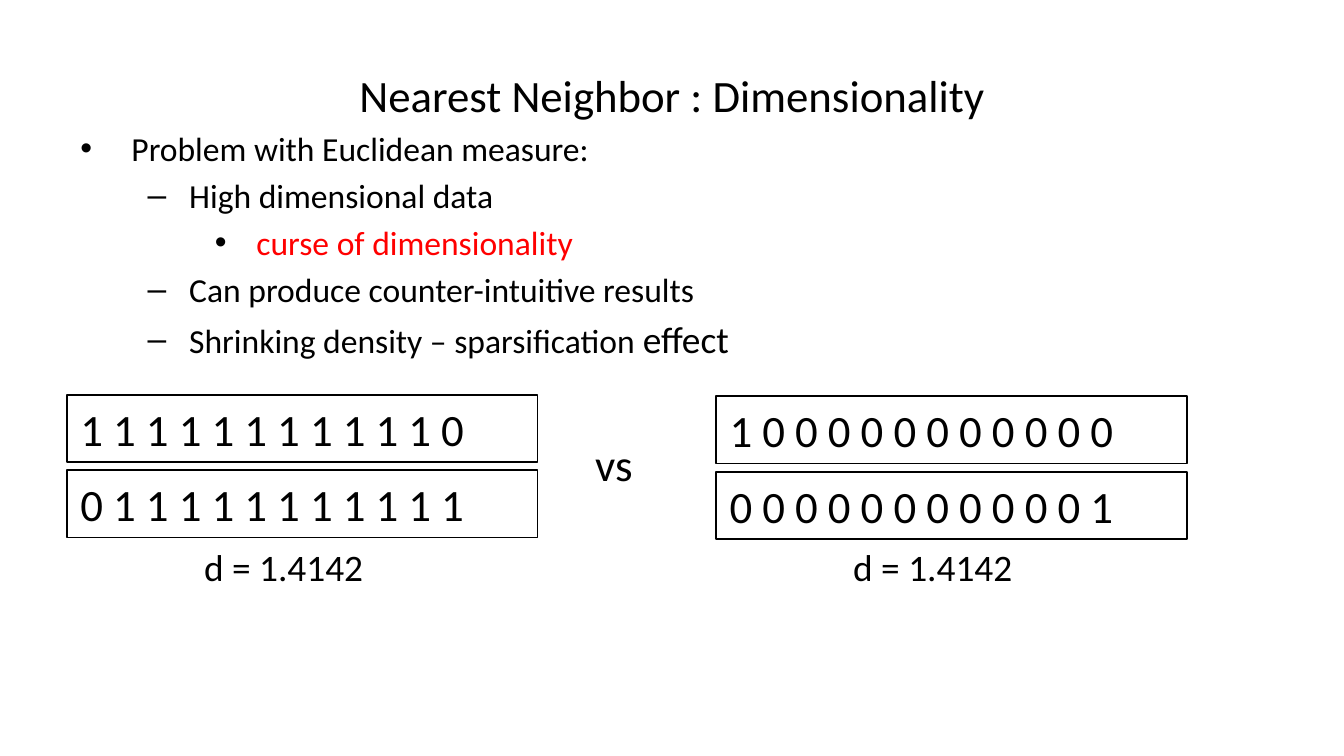
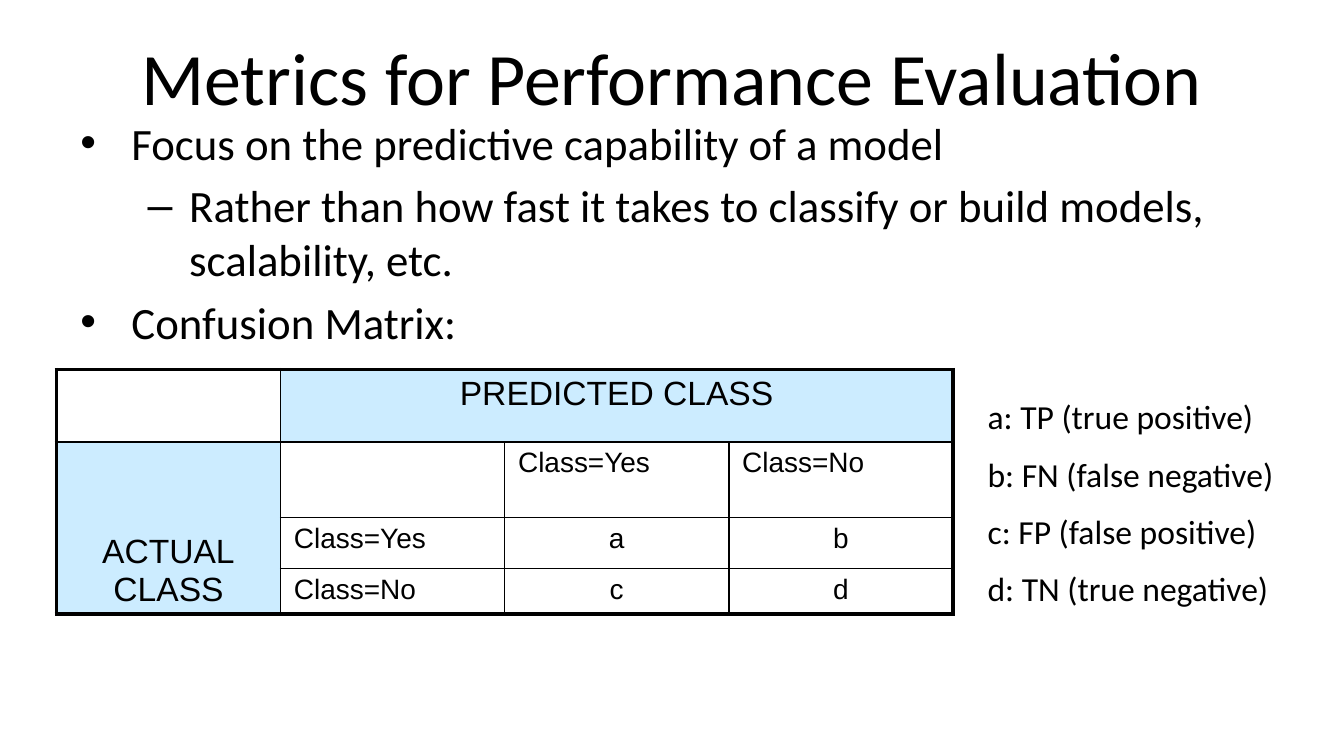
from lxml.etree import SubElement
from pptx import Presentation
from pptx.dml.color import RGBColor
from pptx.enum.shapes import MSO_SHAPE
from pptx.enum.text import MSO_ANCHOR, MSO_AUTO_SIZE, PP_ALIGN
from pptx.oxml.ns import qn
from pptx.util import Inches, Pt

# Shared style
BLACK, RED, BLUE = "000000", "FF0000", "CCECFF"
LEVELS = [("•", 0.38, 0.38), ("–", 0.81, 0.31), ("•", 1.31, 0.31)]

# Slide 1: (level, colour, runs), each run being text and size
CURSE = [
    (0, BLACK, [("Problem with Euclidean measure:", 18)]),
    (1, BLACK, [("High dimensional data", 18)]),
    (2, RED, [("curse of dimensionality", 18)]),
    (1, BLACK, [("Can produce counter-intuitive results", 18)]),
    (1, BLACK, [("Shrinking density – sparsification ", 18), ("effect", 20)]),
]
# (left, top, vectors, distance, left of distance)
PAIRS = [
    (0.5, 2.94, ["1 1 1 1 1 1 1 1 1 1 1 0", "0 1 1 1 1 1 1 1 1 1 1 1"], "d = 1.4142", 1.42),
    (5.33, 2.95, ["1 0 0 0 0 0 0 0 0 0 0 0", "0 0 0 0 0 0 0 0 0 0 0 1"], "d = 1.4142", 6.25),
]

# Slide 2
FOCUS = [
    (0, BLACK, [("Focus on the predictive capability of a model", 24)]),
    (1, BLACK, [("Rather than how fast it takes to classify or build models, "
                 "scalability, etc.", 24)]),
    (0, BLACK, [("Confusion Matrix:", 24)]),
]
MATRIX = [
    ["", "PREDICTED CLASS", "", ""],
    ["ACTUAL\vCLASS", "", "Class=Yes", "Class=No"],
    ["", "Class=Yes", "a", "b"],
    ["", "Class=No", "c", "d"],
]
HEADS = [(0, 1), (1, 0)]
ROWS = [0.54, 0.56, 0.38, 0.34]
WIDTH = 6.67
LEGEND = ["a: TP (true positive)", "b: FN (false negative)",
          "c: FP (false positive)", "d: TN (true negative)"]


def rgb(color):
    return RGBColor.from_string(color)


def style(para, size, color=BLACK, face="Calibri"):
    font = para.font
    font.name, font.size = face, Pt(size)
    font.color.rgb = rgb(color)


def box(slide, *place):
    frame = slide.shapes.add_textbox(*map(Inches, place)).text_frame
    frame.word_wrap = True
    return frame


def fill_lines(frame, lines, size):
    """Write one paragraph a line, half a line apart."""
    for i, line in enumerate(lines):
        para = frame.add_paragraph() if i else frame.paragraphs[0]
        para.text = line
        para.space_before = Pt(size / 2 if i else 0)
        style(para, size)


def start(deck, title, size, height):
    slide = deck.slides.add_slide(deck.slide_layouts[5])
    head = slide.shapes.title
    head.left, head.top, head.width, head.height = map(Inches, (0.5, 0.23, 9, height))
    frame = head.text_frame
    frame.text = title
    frame.auto_size = MSO_AUTO_SIZE.NONE
    frame.vertical_anchor = MSO_ANCHOR.MIDDLE
    frame.paragraphs[0].alignment = PP_ALIGN.CENTER
    style(frame.paragraphs[0], size)
    return slide


def add_list(slide, items, top):
    frame = box(slide, 0.5, top, 9, 3.71)
    for i, (level, color, runs) in enumerate(items):
        para = frame.add_paragraph() if i else frame.paragraphs[0]
        mark, left, hang = LEVELS[level]
        para.level = level
        para.space_before = Pt(0.2 * runs[-1][1] if i else 0)
        # Bullet and hanging indent
        props = para._p.get_or_add_pPr()
        props.set("marL", str(Inches(left)))
        props.set("indent", str(-Inches(hang)))
        tint = SubElement(props, qn("a:buClr"))
        SubElement(tint, qn("a:srgbClr"), val=BLACK)
        SubElement(props, qn("a:buFont"), typeface="Arial")
        SubElement(props, qn("a:buChar"), char=mark)
        style(para, runs[0][1], color)
        for text, size in runs:
            run = para.add_run()
            run.text = text
            if size != runs[0][1]:
                run.font.size = Pt(size)


def add_vector(slide, text, left, top):
    rect = slide.shapes.add_shape(MSO_SHAPE.RECTANGLE, *map(Inches, (left, top, 3.5, 0.5)))
    rect.shadow.inherit = False
    rect.fill.background()
    rect.line.color.rgb = rgb(BLACK)
    rect.line.width = Pt(1)
    frame = rect.text_frame
    frame.vertical_anchor = MSO_ANCHOR.TOP
    fill_lines(frame, [text], 24)
    frame.paragraphs[0].alignment = PP_ALIGN.LEFT


def add_edges(cell, row, col):
    """Thick lines round the table, thin ones inside it."""
    wide = cell.span_width if cell.is_merge_origin else 1
    high = cell.span_height if cell.is_merge_origin else 1
    outer = {"L": col == 0, "R": col + wide == len(MATRIX[0]),
             "T": row == 0, "B": row + high == len(MATRIX)}
    props = cell._tc.get_or_add_tcPr()
    for side, edge in outer.items():
        if cell.is_spanned and not edge:
            continue
        line = SubElement(props, qn("a:ln" + side), w=str(Pt(2.25 if edge else 1)))
        paint = SubElement(line, qn("a:solidFill"))
        SubElement(paint, qn("a:srgbClr"), val=BLACK)


def add_matrix(slide):
    place = map(Inches, (0.42, 2.75, WIDTH, sum(ROWS)))
    table = slide.shapes.add_table(len(MATRIX), len(MATRIX[0]), *place).table
    table.first_row = table.horz_banding = False
    for row, height in zip(table.rows, ROWS):
        row.height = Inches(height)
    table.cell(0, 1).merge(table.cell(0, 3))
    table.cell(1, 0).merge(table.cell(3, 0))
    for r, line in enumerate(MATRIX):
        for c, text in enumerate(line):
            cell = table.cell(r, c)
            head = (r, c) in HEADS
            cell.margin_top = cell.margin_bottom = Inches(0.04)
            cell.text = text
            para = cell.text_frame.paragraphs[0]
            if head or len(text) == 1:
                para.alignment = PP_ALIGN.CENTER
            style(para, 18 if head else 15, face="Arial")
            add_edges(cell, r, c)
            if head:
                cell.fill.solid()
                cell.fill.fore_color.rgb = rgb(BLUE)
            else:
                cell.fill.background()
    table.cell(1, 0).vertical_anchor = MSO_ANCHOR.BOTTOM


def main():
    deck = Presentation()
    deck.slide_width = Inches(10)
    deck.slide_height = deck.slide_width * 9 // 16

    # Dimensionality
    slide = start(deck, "Nearest Neighbor : Dimensionality", 24, 0.94)
    add_list(slide, CURSE, 0.9)
    for left, top, vectors, dist, at in PAIRS:
        for i, text in enumerate(vectors):
            add_vector(slide, text, left, top + 0.56 * i)
        fill_lines(box(slide, at, 4, 1.83, 0.44), [dist], 20)
    fill_lines(box(slide, 4.33, 3.2, 0.61, 0.5), ["vs"], 24)

    # Confusion matrix
    slide = start(deck, "Metrics for Performance Evaluation", 39.6, 0.67)
    add_list(slide, FOCUS, 0.81)
    add_matrix(slide)
    fill_lines(box(slide, 7.25, 2.9, 2.42, 1.77), LEGEND, 18)

    deck.save("out.pptx")


if __name__ == "__main__":
    main()
